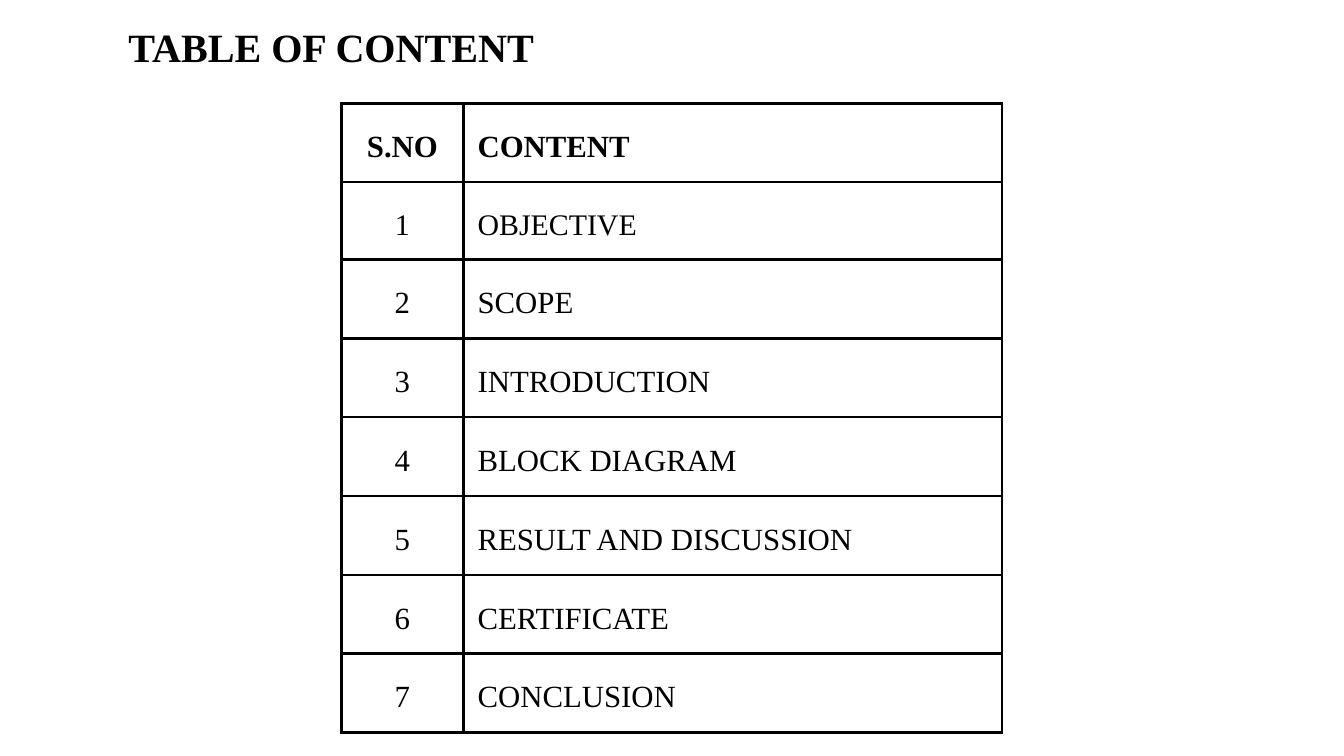
from dataclasses import dataclass

from lxml.etree import SubElement
from pptx import Presentation
from pptx.dml.color import RGBColor
from pptx.enum.text import MSO_ANCHOR as Anchor, MSO_AUTO_SIZE as AutoSize, PP_ALIGN as Align
from pptx.oxml.ns import qn
from pptx.util import Cm, Pt


@dataclass(frozen=True)
class Theme:
    """Colours, font and type sizes of the slide."""
    ink: RGBColor = RGBColor(0, 0, 0)
    paper: RGBColor = RGBColor(255, 255, 255)
    font: str = "Times New Roman"
    title: int = 43
    body: int = 33
    small: int = 32
    leading: float = 1.4
    border: int = 3


THEME = Theme()
HEADER = ("S.NO", "CONTENT")
TOPICS = ("OBJECTIVE", "SCOPE", "INTRODUCTION", "BLOCK DIAGRAM",
          "RESULT AND DISCUSSION", "CERTIFICATE", "CONCLUSION")


def write(tf, text, size, align, bold=False):
    """Put one formatted paragraph in a text frame."""
    tf.text = text
    tf.word_wrap = True
    p = tf.paragraphs[0]
    p.alignment = align
    p.line_spacing = Pt(size * THEME.leading)
    font = p.runs[0].font
    font.name, font.size, font.bold = THEME.font, Pt(size), bold
    font.color.rgb = THEME.ink


def draw_borders(cell):
    """Give a cell a solid line on all four sides."""
    tc_pr = cell._tc.get_or_add_tcPr()
    for side in ("a:lnL", "a:lnR", "a:lnT", "a:lnB"):
        ln = SubElement(tc_pr, qn(side), w=str(Pt(THEME.border)))
        fill = SubElement(ln, qn("a:solidFill"))
        SubElement(fill, qn("a:srgbClr"), val=str(THEME.ink))


def add_title(s, text, left, top, width, height):
    """Place the slide title in its box."""
    sp = s.shapes.title
    sp.left, sp.top, sp.width, sp.height = left, top, width, height
    tf = sp.text_frame
    tf.margin_left = tf.margin_right = tf.margin_top = tf.margin_bottom = 0
    tf.vertical_anchor = Anchor.TOP
    write(tf, text, THEME.title, Align.CENTER, bold=True)
    tf.auto_size = AutoSize.SHAPE_TO_FIT_TEXT


def add_contents(s, topics, left, top, width, height):
    """Place the numbered table of topics in its box."""
    rows = [HEADER, *((str(i), topic) for i, topic in enumerate(topics, 1))]
    table = s.shapes.add_table(len(rows), 2, left, top, width, height).table
    table.columns[0].width = Cm(4.62)
    table.columns[1].width = width - Cm(4.62)
    for i, row in enumerate(rows):
        size = THEME.small if i == 1 else THEME.body
        table.rows[i].height = Cm(2.92) if i == 1 else Cm(2.98)
        for j, text in enumerate(row):
            cell = table.cell(i, j)
            cell.margin_left = cell.margin_right = Cm(0.53)
            cell.margin_top = cell.margin_bottom = Cm(0.53)
            cell.vertical_anchor = Anchor.MIDDLE
            write(cell.text_frame, text, size,
                  Align.JUSTIFY if j else Align.CENTER, bold=i == 0)
            draw_borders(cell)
            cell.fill.solid()
            cell.fill.fore_color.rgb = THEME.paper


def main():
    """Build and save the presentation."""
    prs = Presentation()
    prs.slide_width, prs.slide_height = Cm(50.8), Cm(28.58)
    s = prs.slides.add_slide(prs.slide_layouts[5])
    add_contents(s, TOPICS, Cm(12.9), Cm(3.91), Cm(24.97), Cm(23.77))
    add_title(s, "TABLE OF CONTENT", Cm(2.84), Cm(0.56), Cm(19.35), Cm(2.29))
    prs.save("out.pptx")


if __name__ == "__main__":
    main()
